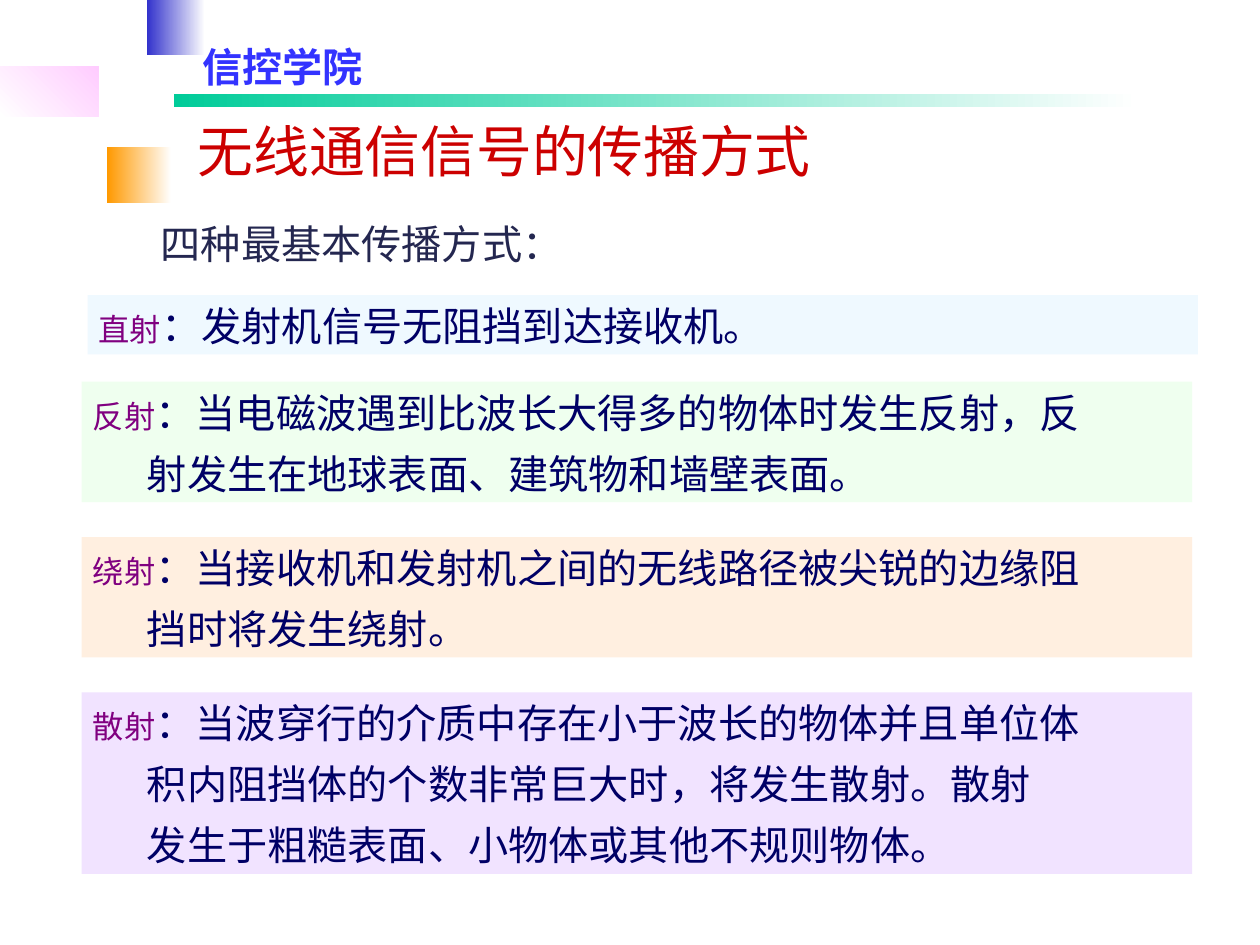
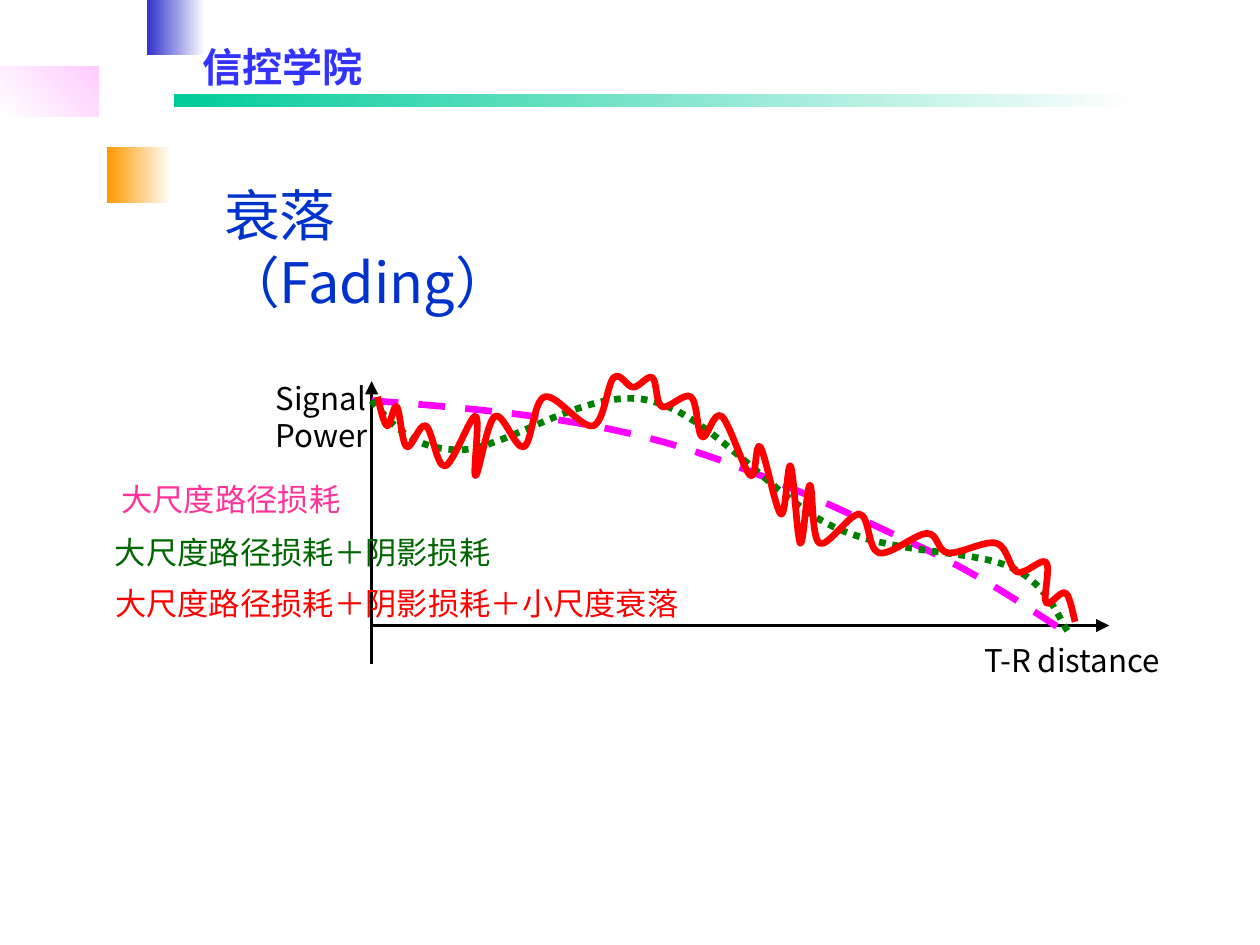
"""Builds two lecture slides on radio propagation and fading."""
from typing import NamedTuple, Optional

from lxml.etree import SubElement
from pptx import Presentation
from pptx.dml.color import RGBColor
from pptx.enum.dml import MSO_LINE_DASH_STYLE as Dash
from pptx.enum.shapes import MSO_CONNECTOR as Connector, MSO_SHAPE as Preset
from pptx.enum.text import MSO_ANCHOR as Anchor, MSO_AUTO_SIZE as AutoSize, PP_ALIGN as Align
from pptx.oxml.ns import qn
from pptx.shapes.autoshape import Shape
from pptx.slide import Slide, SlideLayout
from pptx.text.text import Font, TextFrame
from pptx.util import Pt

WHITE = RGBColor(0xFF, 0xFF, 0xFF)
BLACK = RGBColor(0x00, 0x00, 0x00)
BLUE = RGBColor(0x33, 0x33, 0xCC)
ORANGE = RGBColor(0xFF, 0x99, 0x00)
PINK = RGBColor(0xFF, 0xCC, 0xFF)
TEAL = RGBColor(0x00, 0xCC, 0x99)
SCHOOL_BLUE = RGBColor(0x33, 0x33, 0xFF)
TITLE_RED = RGBColor(0xCC, 0x00, 0x00)
TITLE_BLUE = RGBColor(0x00, 0x33, 0xCC)
LEAD_INK = RGBColor(0x24, 0x27, 0x50)
NAVY = RGBColor(0x00, 0x00, 0x66)
PURPLE = RGBColor(0x80, 0x00, 0x80)
PALE_BLUE = RGBColor(0xCC, 0xEC, 0xFF)
PALE_GREEN = RGBColor(0xCC, 0xFF, 0xCC)
PALE_ORANGE = RGBColor(0xFF, 0xCC, 0x99)
PALE_PURPLE = RGBColor(0xD1, 0xA3, 0xFF)
MAGENTA = RGBColor(0xFF, 0x00, 0xFF)
GREEN = RGBColor(0x00, 0x80, 0x00)
RED = RGBColor(0xFF, 0x00, 0x00)
LEGEND_PINK = RGBColor(0xFF, 0x33, 0x99)
LEGEND_GREEN = RGBColor(0x00, 0x66, 0x00)

BODY_FACE = "Noto Sans CJK SC"
HEADER_FACE = "Noto Sans CJK JP"
TITLE_SIZE, TEXT_SIZE, SMALL_SIZE = 25, 18, 14
HANGING = 24.2


class Box(NamedTuple):
    """A rectangle in points."""
    left: float
    top: float
    width: float
    height: float

    def lengths(self) -> tuple:
        """Returns the four sides as lengths."""
        return tuple(Pt(side) for side in self)


class Ornament(NamedTuple):
    """A gradient block of the shared header."""
    box: Box
    start: RGBColor
    end: RGBColor
    angle: float = 0


class Mode(NamedTuple):
    """A propagation mode and its definition."""
    box: Box
    tint: RGBColor
    term: str
    lines: tuple


class Label(NamedTuple):
    """A piece of plain text."""
    box: Box
    lines: tuple
    color: RGBColor
    size: float = SMALL_SIZE
    wrap: bool = True


class Curve(NamedTuple):
    """A smooth line through knots."""
    color: RGBColor
    knots: tuple
    dash: Optional[Dash] = None


ORNAMENTS = (
    Ornament(Box(66, 0, 25.9, 24.8), BLUE, WHITE),
    Ornament(Box(48, 65.9, 28.8, 25.2), ORANGE, WHITE),
    Ornament(Box(0, 29.8, 44.2, 22.6), WHITE, PINK, 45),
    Ornament(Box(78, 42, 432, 5.8), TEAL, WHITE),
)
SCHOOL = Label(Box(83.6, 19.7, 238.3, 24.5), ("信控学院",), SCHOOL_BLUE, TEXT_SIZE)

MODES_TITLE = Label(Box(83.6, 49.4, 452.9, 35.3), ("无线通信信号的传播方式",), TITLE_RED, TITLE_SIZE)
MODES_LEAD = Label(Box(67, 95.5, 452.9, 26.6), ("四种最基本传播方式：",), LEAD_INK, TEXT_SIZE)
MODES = (
    Mode(Box(39.2, 132.2, 497.5, 26.6), PALE_BLUE, "直射", ("：发射机信号无阻挡到达接收机。",)),
    Mode(Box(36.6, 171, 497.5, 54), PALE_GREEN, "反射", (
        "：当电磁波遇到比波长大得多的物体时发生反射，反",
        "射发生在地球表面、建筑物和墙壁表面。")),
    Mode(Box(36.6, 240.6, 497.5, 54), PALE_ORANGE, "绕射", (
        "：当接收机和发射机之间的无线路径被尖锐的边缘阻",
        "挡时将发生绕射。")),
    Mode(Box(36.6, 310.2, 497.5, 81.4), PALE_PURPLE, "散射", (
        "：当波穿行的介质中存在小于波长的物体并且单位体",
        "积内阻挡体的个数非常巨大时，将发生散射。散射",
        "发生于粗糙表面、小物体或其他不规则物体。")),
)

FADING_TITLE = Label(Box(95.4, 78.3, 187.2, 65.5), ("衰落（Fading）",), TITLE_BLUE, TITLE_SIZE)
AXES = (((166.5, 280.3), (497, 280.3)), ((166.5, 297.4), (166.5, 170.8)))
AXIS_LABELS = (
    Label(Box(118.5, 167, 52.6, 38.9), ("Signal", "Power"), BLACK, wrap=False),
    Label(Box(435.9, 284.2, 90.7, 22.3), ("T-R distance",), BLACK, wrap=False),
)
CURVES = (
    Curve(MAGENTA, ((166.5, 179.5), (294.5, 197.3), (413.3, 245.5), (479.5, 284.4)), Dash.DASH),
    Curve(GREEN, ((166.5, 179.5), (205.9, 201.6), (290.2, 179.3), (373.7, 236.2),
                  (452.9, 254.2), (479.5, 284.4)), Dash.ROUND_DOT),
    Curve(RED, (
        (169.2, 177.8), (173.5, 190.8), (177.8, 182.2), (182.2, 200.2), (190.8, 190.8),
        (199.4, 208.8), (213.1, 186.5), (213.1, 213.1), (221.8, 186.5), (234.7, 200.2),
        (244.1, 177.8), (265.7, 190.8), (275, 169.2), (283.7, 173.5), (292.3, 169.2),
        (296.6, 182.2), (309.6, 177.8), (314.6, 195.8), (323.3, 186.5), (336.2, 213.1),
        (340.6, 200.2), (349.9, 230.4), (354.2, 208.8), (358.6, 243.4), (362.9, 217.4),
        (367.2, 243.4), (385.2, 230.4), (393.8, 247.7), (415.4, 239), (424.8, 247.7),
        (446.4, 243.4), (455.8, 256.3), (468.7, 252), (468.7, 270), (477.4, 265.7),
        (481.7, 278.6))),
)
LEGEND = (
    Label(Box(49.4, 212.3, 133.2, 22.3), ("大尺度路径损耗",), LEGEND_PINK),
    Label(Box(46.5, 235.8, 200.2, 22.3), ("大尺度路径损耗＋阴影损耗",), LEGEND_GREEN),
    Label(Box(46.6, 259, 341.3, 22.3), ("大尺度路径损耗＋阴影损耗＋小尺度衰落",), RED),
)


def set_font(font: Font, size: float, color: RGBColor, face: str = BODY_FACE) -> None:
    """Sets size, colour and both the Latin and East Asian face."""
    font.size = Pt(size)
    font.color.rgb = color
    font.name = face
    SubElement(font._rPr, qn("a:ea")).set("typeface", face)


def set_frame(frame: TextFrame, wrap: bool = True, inset: tuple = (5, 2.9)) -> None:
    """Sets insets, wrapping and top anchoring."""
    frame.margin_left = frame.margin_right = Pt(inset[0])
    frame.margin_top = frame.margin_bottom = Pt(inset[1])
    frame.word_wrap = wrap
    frame.auto_size = AutoSize.SHAPE_TO_FIT_TEXT
    frame.vertical_anchor = Anchor.TOP


def write_lines(frame: TextFrame, lines: tuple, size: float, color: RGBColor,
                face: str = BODY_FACE) -> None:
    """Writes one left-aligned paragraph per line."""
    for index, line in enumerate(lines):
        paragraph = frame.add_paragraph() if index else frame.paragraphs[0]
        paragraph.text = line
        paragraph.alignment = Align.LEFT
        set_font(paragraph.font, size, color, face)


def add_label(slide: Slide, label: Label) -> None:
    """Adds a text box."""
    text_box = slide.shapes.add_textbox(*label.box.lengths())
    set_frame(text_box.text_frame, label.wrap)
    write_lines(text_box.text_frame, label.lines, label.size, label.color)


def set_title(slide: Slide, label: Label) -> None:
    """Moves and fills the title placeholder."""
    title = slide.shapes.title
    title.left, title.top, title.width, title.height = label.box.lengths()
    set_frame(title.text_frame)
    write_lines(title.text_frame, label.lines, label.size, label.color)


def add_block(slide: Slide, box: Box) -> Shape:
    """Adds a rectangle without line or shadow."""
    block = slide.shapes.add_shape(Preset.RECTANGLE, *box.lengths())
    block.shadow.inherit = False
    block.line.fill.background()
    return block


def add_ornament(slide: Slide, ornament: Ornament) -> Shape:
    """Adds a gradient block."""
    block = add_block(slide, ornament.box)
    block.fill.gradient()
    block.fill.gradient_angle = ornament.angle
    for stop, position, color in zip(block.fill.gradient_stops, (0, 1), (ornament.start, ornament.end)):
        stop.position = position
        stop.color.rgb = color
    return block


def add_school(slide: Slide) -> Shape:
    """Adds the name of the school."""
    school = slide.shapes.add_textbox(*SCHOOL.box.lengths())
    set_frame(school.text_frame, inset=(7.2, 3.6))
    write_lines(school.text_frame, SCHOOL.lines, SCHOOL.size, SCHOOL.color, HEADER_FACE)
    paragraph = school.text_frame.paragraphs[0]
    paragraph.line_spacing = 0.8
    paragraph.font.bold = True
    return school


def share_header(slide: Slide, layout: SlideLayout) -> None:
    """Draws the header once and hands it to the layout."""
    for placeholder in list(layout.placeholders):
        if placeholder.placeholder_format.idx:
            layout.shapes.element.remove(placeholder.element)
    header = [add_ornament(slide, ornament) for ornament in ORNAMENTS] + [add_school(slide)]
    for number, part in enumerate(header, start=20):
        part.element.xpath(".//p:cNvPr")[0].set("id", str(number))
        layout.shapes.element.append(part.element)


def add_mode(slide: Slide, mode: Mode) -> None:
    """Adds a tinted definition with its term in front."""
    block = add_block(slide, mode.box)
    block.fill.solid()
    block.fill.fore_color.rgb = mode.tint
    tint = block.element.spPr.find(qn("a:solidFill"))[0]
    SubElement(tint, qn("a:alpha")).set("val", "30000")
    frame = block.text_frame
    set_frame(frame)
    write_lines(frame, ("",) + mode.lines[1:], TEXT_SIZE, NAVY)
    first, *others = frame.paragraphs
    term = first.add_run()
    term.text = mode.term
    set_font(term.font, SMALL_SIZE, PURPLE)
    first.add_run().text = mode.lines[0]
    for paragraph in others:
        paragraph.space_before = Pt(5.6)
        paragraph._p.get_or_add_pPr().set("marL", str(Pt(HANGING)))


def add_axis(slide: Slide, start: tuple, end: tuple) -> None:
    """Adds a black axis with an arrowhead at its end."""
    axis = slide.shapes.add_connector(Connector.STRAIGHT, *(Pt(value) for value in start + end))
    axis.line.color.rgb = BLACK
    axis.line.width = Pt(1)
    SubElement(axis.line._get_or_add_ln(), qn("a:tailEnd")).set("type", "triangle")
    SubElement(axis.element.spPr, qn("a:effectLst"))


def handles(values: list) -> list:
    """Returns the leaving and arriving handle of each segment for one coordinate."""
    last = len(values) - 1
    pulls = [(values[min(i + 1, last)] - values[max(i - 1, 0)]) / 6 for i in range(last + 1)]
    arrive = [values[i + 1] - pulls[i + 1] for i in range(last)]
    leave = [(values[0] + arrive[0]) / 2] + [values[i] + pulls[i] for i in range(1, last)]
    return list(zip(leave, arrive))


def bend(line: Shape) -> None:
    """Turns the straight segments of an outline into smooth cubic ones."""
    points = line.element.xpath(".//a:pathLst//a:pt")
    across, down = (handles([int(point.get(axis)) for point in points]) for axis in "xy")
    for point, xs, ys in zip(points[1:], across, down):
        segment = point.getparent()
        cubic = SubElement(segment.getparent(), qn("a:cubicBezTo"))
        for x, y in zip(xs, ys):
            handle = SubElement(cubic, qn("a:pt"))
            handle.set("x", str(round(x)))
            handle.set("y", str(round(y)))
        cubic.append(point)
        segment.getparent().remove(segment)


def add_curve(slide: Slide, curve: Curve) -> None:
    """Adds an open smooth line."""
    first, *others = [(Pt(x), Pt(y)) for x, y in curve.knots]
    builder = slide.shapes.build_freeform(*first)
    builder.add_line_segments(others, close=False)
    line = builder.convert_to_shape()
    bend(line)
    line.shadow.inherit = False
    line.fill.background()
    line.line.color.rgb = curve.color
    line.line.width = Pt(3)
    if curve.dash:
        line.line.dash_style = curve.dash
    SubElement(line.line._get_or_add_ln(), qn("a:round"))


def main() -> None:
    """Builds and saves the presentation."""
    deck = Presentation()
    deck.slide_width, deck.slide_height = Pt(564.5), Pt(423.4)
    layout = deck.slide_layouts[5]

    modes_slide = deck.slides.add_slide(layout)
    share_header(modes_slide, layout)
    set_title(modes_slide, MODES_TITLE)
    for mode in MODES:
        add_mode(modes_slide, mode)
    add_label(modes_slide, MODES_LEAD)

    fading_slide = deck.slides.add_slide(layout)
    set_title(fading_slide, FADING_TITLE)
    for start, end in AXES:
        add_axis(fading_slide, start, end)
    for curve in CURVES:
        add_curve(fading_slide, curve)
    for label in AXIS_LABELS + LEGEND:
        add_label(fading_slide, label)

    deck.save("out.pptx")


if __name__ == "__main__":
    main()
